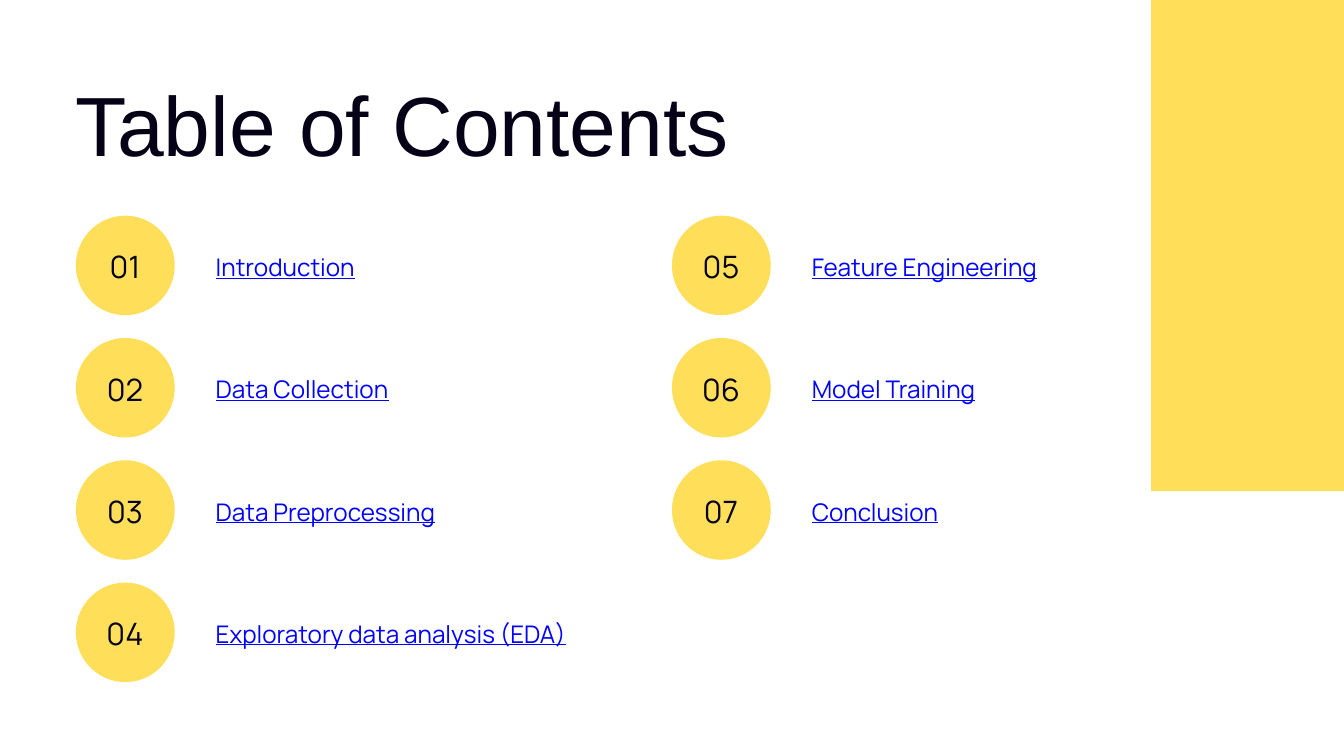
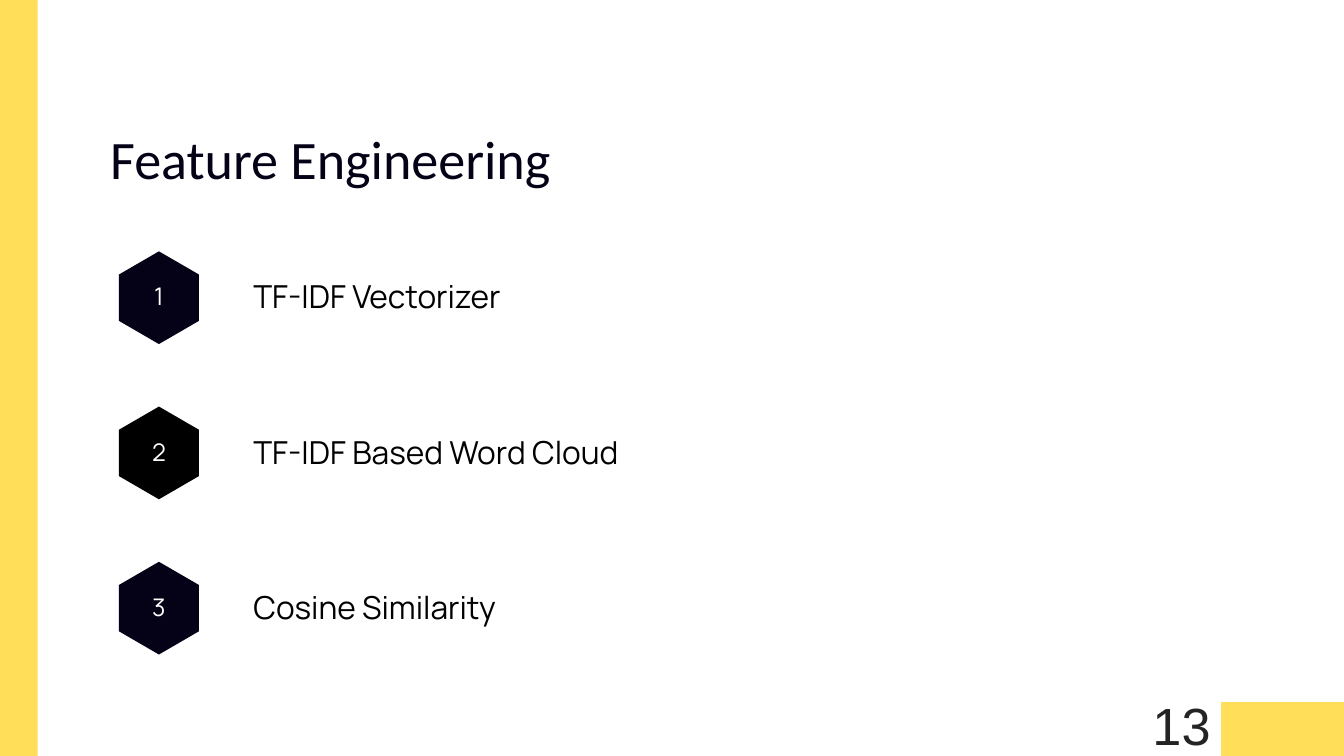
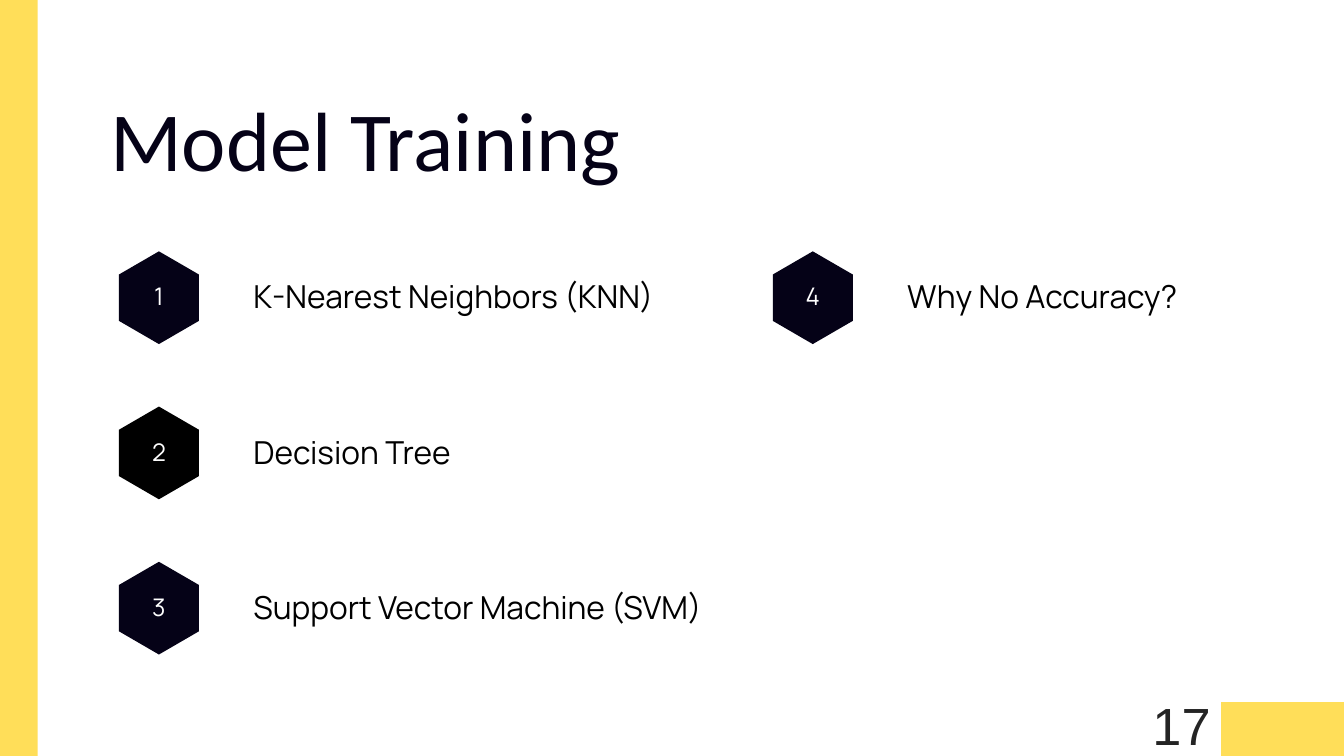
from dataclasses import dataclass

from pptx import Presentation
from pptx.dml.color import RGBColor
from pptx.enum.shapes import MSO_SHAPE
from pptx.enum.text import MSO_ANCHOR, MSO_AUTO_SIZE, PP_ALIGN
from pptx.util import Inches, Pt

RECT, OVAL = MSO_SHAPE.RECTANGLE, MSO_SHAPE.OVAL
LEFT, CENTER, JUSTIFY = PP_ALIGN.LEFT, PP_ALIGN.CENTER, PP_ALIGN.JUSTIFY
TOP, MIDDLE = MSO_ANCHOR.TOP, MSO_ANCHOR.MIDDLE
GROW, FIXED = MSO_AUTO_SIZE.SHAPE_TO_FIT_TEXT, MSO_AUTO_SIZE.NONE


@dataclass(frozen=True)
class Style:
    font: str
    size: float
    color: str
    lead: float
    align: int = LEFT
    line: bool = False


class Theme:
    yellow, navy, black = "FFDE59", "050217", "000000"
    opener = Style("Arial", 90, navy, 99)
    large = Style("Calibri", 90, navy, 99)
    small = Style("Calibri", 58, navy, 63.8)
    link = Style("Manrope", 26, "0000FF", 36.4, line=True)
    count = Style("Manrope", 33, navy, 46.2, CENTER)
    badge = Style("Manrope", 26, "FFFFFF", 36.4, CENTER)
    label = Style("Manrope", 33.9, black, 47.5)
    page = Style("Arial", 56, "242424", 61.6, JUSTIFY)


WIDTH, HEIGHT = 20, 11.25

CONTENTS = [
    "Introduction", "Data Collection", "Data Preprocessing",
    "Exploratory data analysis (EDA)", "Feature Engineering",
    "Model Training", "Conclusion",
]

TOPICS = [
    dict(title="Feature Engineering", style=Theme.small, top=1.94, high=0.9, page="13",
         items=[("TF-IDF Vectorizer", 5.73), ("TF-IDF Based Word Cloud", 6.98),
                ("Cosine Similarity", 6.81)]),
    dict(title="Model Training", style=Theme.large, top=1.43, high=1.42, page="17",
         items=[("K-Nearest Neighbors (KNN)", 6.52), ("Decision Tree", 3.26),
                ("Support Vector Machine (SVM)", 7.73), ("Why No Accuracy?", 4.86)]),
]


def paint(shape, color):
    shape.shadow.inherit = False
    shape.fill.solid()
    shape.fill.fore_color.rgb = RGBColor.from_string(color)
    shape.line.fill.background()


def block(slide, kind, box, color):
    paint(slide.shapes.add_shape(kind, *map(Inches, box)), color)


def hexagon(slide, box, color):
    x, y, w, h = box
    mid, right = x + w / 2, x + w
    high, low = y + h / 4, y + h * 3 / 4
    points = [(right, high), (right, low), (mid, y + h), (x, low), (x, high)]
    path = slide.shapes.build_freeform(Inches(mid), Inches(y))
    path.add_line_segments([(Inches(a), Inches(b)) for a, b in points])
    paint(path.convert_to_shape(), color)


def write(slide, text, box, style, pad=0, anchor=TOP, fit=GROW):
    frame = slide.shapes.add_textbox(*map(Inches, box)).text_frame
    frame.word_wrap = True
    frame.auto_size = fit
    frame.vertical_anchor = anchor
    frame.margin_left = frame.margin_right = Inches(pad)
    frame.margin_top = frame.margin_bottom = Inches(pad)
    para = frame.paragraphs[0]
    para.alignment = style.align
    para.line_spacing = Pt(style.lead)
    run = para.add_run()
    run.text = text
    run.font.name = style.font
    run.font.size = Pt(style.size)
    run.font.color.rgb = RGBColor.from_string(style.color)
    if style.line:
        run.font.underline = True


def cells(items, rows, left, top, across, down):
    for i, item in enumerate(items):
        col, row = divmod(i, rows)
        yield i + 1, item, left + col * across, top + row * down


def draw_contents(slide):
    block(slide, RECT, (17.13, 0, 2.87, 7.31), Theme.yellow)
    write(slide, "Table of Contents", (1.12, 1.21, 10.36, 1.41), Theme.opener)
    for n, name, x, y in cells(CONTENTS, 4, 1.13, 3.21, 8.87, 1.82):
        block(slide, OVAL, (x, y, 1.47, 1.48), Theme.yellow)
        write(slide, name, (x + 2.08, y + 0.47, 5.38, 0.48), Theme.link)
        write(slide, f"{n:02}", (x + 0.23, y + 0.39, 1, 0.62), Theme.count)


def draw_topic(slide, topic):
    block(slide, RECT, (0, 0, 0.56, HEIGHT), Theme.yellow)
    block(slide, RECT, (18.17, 10.45, 1.83, 0.8), Theme.yellow)
    write(slide, topic["page"], (17.15, 10.39, 1.03, 0.86), Theme.page)
    write(slide, topic["title"], (1.64, topic["top"], 11.78, topic["high"]), topic["style"])
    for n, (name, wide), x, y in cells(topic["items"], 3, 1.77, 3.74, 9.73, 2.31):
        hexagon(slide, (x, y, 1.19, 1.38), Theme.black if n == 2 else Theme.navy)
        write(slide, str(n), (x, y + 0.12, 1.19, 1.02), Theme.badge, 0.06, MIDDLE, FIXED)
        write(slide, name, (x + 2, y + 0.29, wide, 0.64), Theme.label)


def main():
    deck = Presentation()
    deck.slide_width, deck.slide_height = Inches(WIDTH), Inches(HEIGHT)
    blank = deck.slide_layouts[6]
    draw_contents(deck.slides.add_slide(blank))
    for topic in TOPICS:
        draw_topic(deck.slides.add_slide(blank), topic)
    deck.save("out.pptx")


if __name__ == "__main__":
    main()
